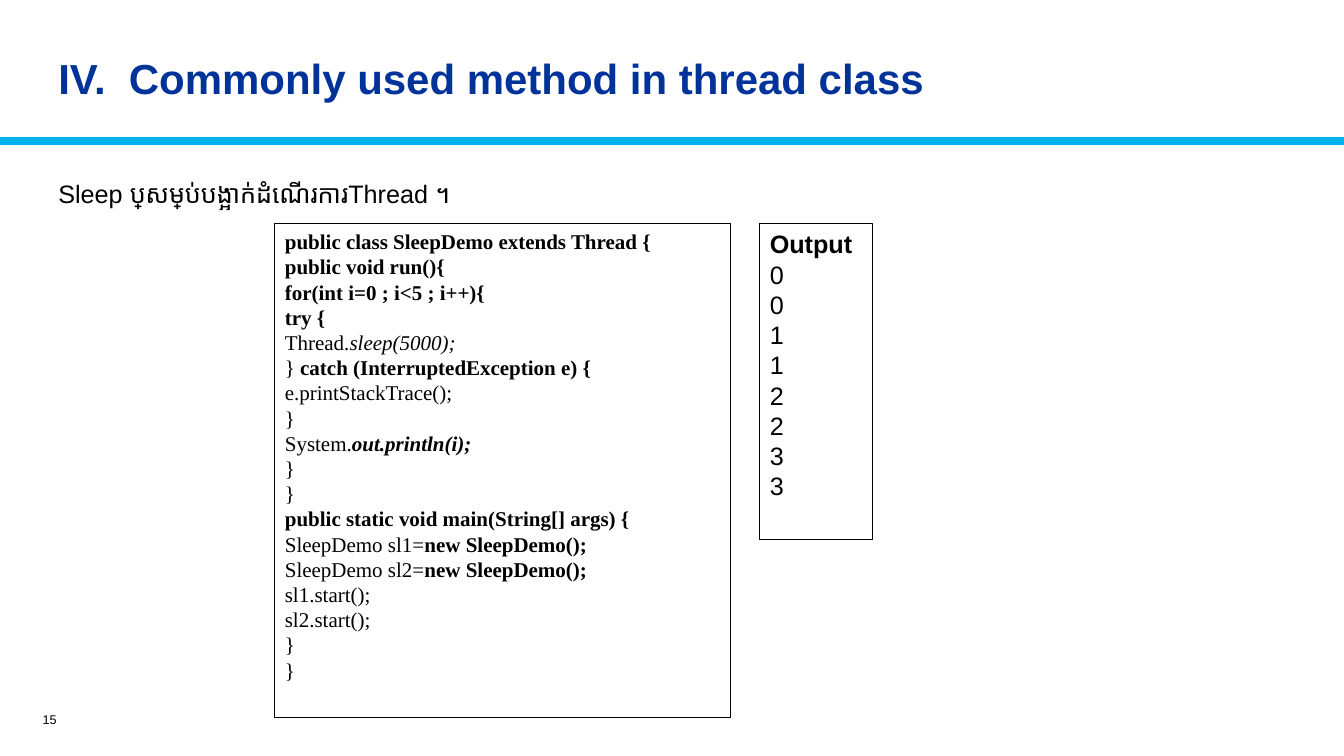
from dataclasses import dataclass
from typing import NamedTuple

from lxml.etree import SubElement
from pptx import Presentation
from pptx.dml.color import RGBColor
from pptx.enum.shapes import MSO_CONNECTOR, MSO_SHAPE
from pptx.enum.text import MSO_ANCHOR, MSO_AUTO_SIZE, PP_ALIGN
from pptx.oxml.ns import qn
from pptx.slide import Slide
from pptx.util import Cm, Pt


@dataclass(frozen=True)
class Theme:
    ink: RGBColor = RGBColor(0x00, 0x00, 0x00)
    heading: RGBColor = RGBColor(0x00, 0x33, 0x99)
    rule: RGBColor = RGBColor(0x00, 0xB0, 0xEA)
    sans: str = "Arial"
    serif: str = "Times New Roman"
    title_size: float = 30
    body_size: float = 18
    code_size: float = 15
    number_size: float = 9
    rule_width: float = 6
    border_width: float = 0.75


class Span(NamedTuple):
    text: str
    bold: bool = False
    italic: bool = False


Line = tuple[Span, ...]


@dataclass(frozen=True)
class Block:
    left: float
    top: float
    width: float
    height: float
    lines: tuple[Line, ...]
    size: float
    font: str
    color: RGBColor
    anchor: MSO_ANCHOR = MSO_ANCHOR.TOP
    alignment: PP_ALIGN = PP_ALIGN.LEFT
    spacing: float = 1.0
    outlined: bool = False


THEME = Theme()
SLIDE_WIDTH = 33.87
SLIDE_HEIGHT = 19.05
RULE_TOP = 3.56
MARGIN = 1.22
PANEL_TOP = 5.64


def plain(text: str) -> Line:
    return (Span(text),)


def bold(text: str) -> Line:
    return (Span(text, bold=True),)


CODE: tuple[Line, ...] = (
    bold("public class SleepDemo extends Thread {"),
    bold("public void run(){"),
    bold("for(int i=0 ; i<5 ; i++){"),
    bold("try {"),
    (Span("Thread."), Span("sleep(5000);", italic=True)),
    (Span("} "), Span("catch (InterruptedException e) {", bold=True)),
    plain("e.printStackTrace();"),
    plain("}"),
    (Span("System."), Span("out.println(i);", bold=True, italic=True)),
    plain("}"),
    plain("}"),
    bold("public static void main(String[] args) {"),
    *((Span(f"SleepDemo {name}="), Span("new SleepDemo();", bold=True)) for name in ("sl1", "sl2")),
    plain("sl1.start();"),
    plain("sl2.start();"),
    plain("}"),
    plain("}"),
)
OUTPUT: tuple[Line, ...] = (
    bold("Output"),
    *(plain(str(count)) for count in range(4) for thread in range(2)),
)

BLOCKS = (
    Block(0.23, 17.75, 1.45, 0.76, (plain("15"),), THEME.number_size, THEME.sans, THEME.ink,
          anchor=MSO_ANCHOR.MIDDLE, alignment=PP_ALIGN.RIGHT),
    Block(MARGIN, 0.99, 22.91, 2.11, (bold("IV.  Commonly used method in thread class"),),
          THEME.title_size, THEME.sans, THEME.heading, anchor=MSO_ANCHOR.MIDDLE, spacing=0.9),
    Block(MARGIN, 4.37, 12.85, 1.02, (plain("Sleep ប្រើសម្រាប់បង្អាក់ដំណើរការThread ។"),),
          THEME.body_size, THEME.sans, THEME.ink),
    Block(6.93, PANEL_TOP, 11.48, 12.45, CODE, THEME.code_size, THEME.serif, THEME.ink,
          outlined=True),
    Block(19.15, PANEL_TOP, 2.84, 7.95, OUTPUT, THEME.body_size, THEME.sans, THEME.ink,
          outlined=True),
)


def apply_format(target: object, values: dict[str, object]) -> None:
    for name, value in values.items():
        setattr(target, name, value)


def draw_rule(slide: Slide) -> None:
    rule = slide.shapes.add_connector(
        MSO_CONNECTOR.STRAIGHT, Cm(0), Cm(RULE_TOP), Cm(SLIDE_WIDTH), Cm(RULE_TOP))
    rule.line.color.rgb = THEME.rule
    rule.line.width = Pt(THEME.rule_width)
    SubElement(rule._element.spPr, qn("a:effectLst"))


def draw_block(slide: Slide, block: Block) -> None:
    bounds = [Cm(length) for length in (block.left, block.top, block.width, block.height)]
    if block.outlined:
        shape = slide.shapes.add_shape(MSO_SHAPE.RECTANGLE, *bounds)
        shape.shadow.inherit = False
        shape.fill.background()
        shape.line.color.rgb = THEME.ink
        shape.line.width = Pt(THEME.border_width)
    else:
        shape = slide.shapes.add_textbox(*bounds)
    frame = shape.text_frame
    apply_format(frame, {
        "word_wrap": True,
        "auto_size": MSO_AUTO_SIZE.NONE,
        "vertical_anchor": block.anchor,
    })
    for index, line in enumerate(block.lines):
        paragraph = frame.add_paragraph() if index else frame.paragraphs[0]
        apply_format(paragraph, {"alignment": block.alignment, "line_spacing": block.spacing})
        for span in line:
            run = paragraph.add_run()
            run.text = span.text
            apply_format(run.font, {
                "name": block.font,
                "size": Pt(block.size),
                "bold": span.bold,
                "italic": span.italic,
            })
            run.font.color.rgb = block.color


def main() -> None:
    presentation = Presentation()
    presentation.slide_width = Cm(SLIDE_WIDTH)
    presentation.slide_height = Cm(SLIDE_HEIGHT)
    slide = presentation.slides.add_slide(presentation.slide_layouts[6])
    draw_rule(slide)
    for block in BLOCKS:
        draw_block(slide, block)
    presentation.save("out.pptx")


if __name__ == "__main__":
    main()
